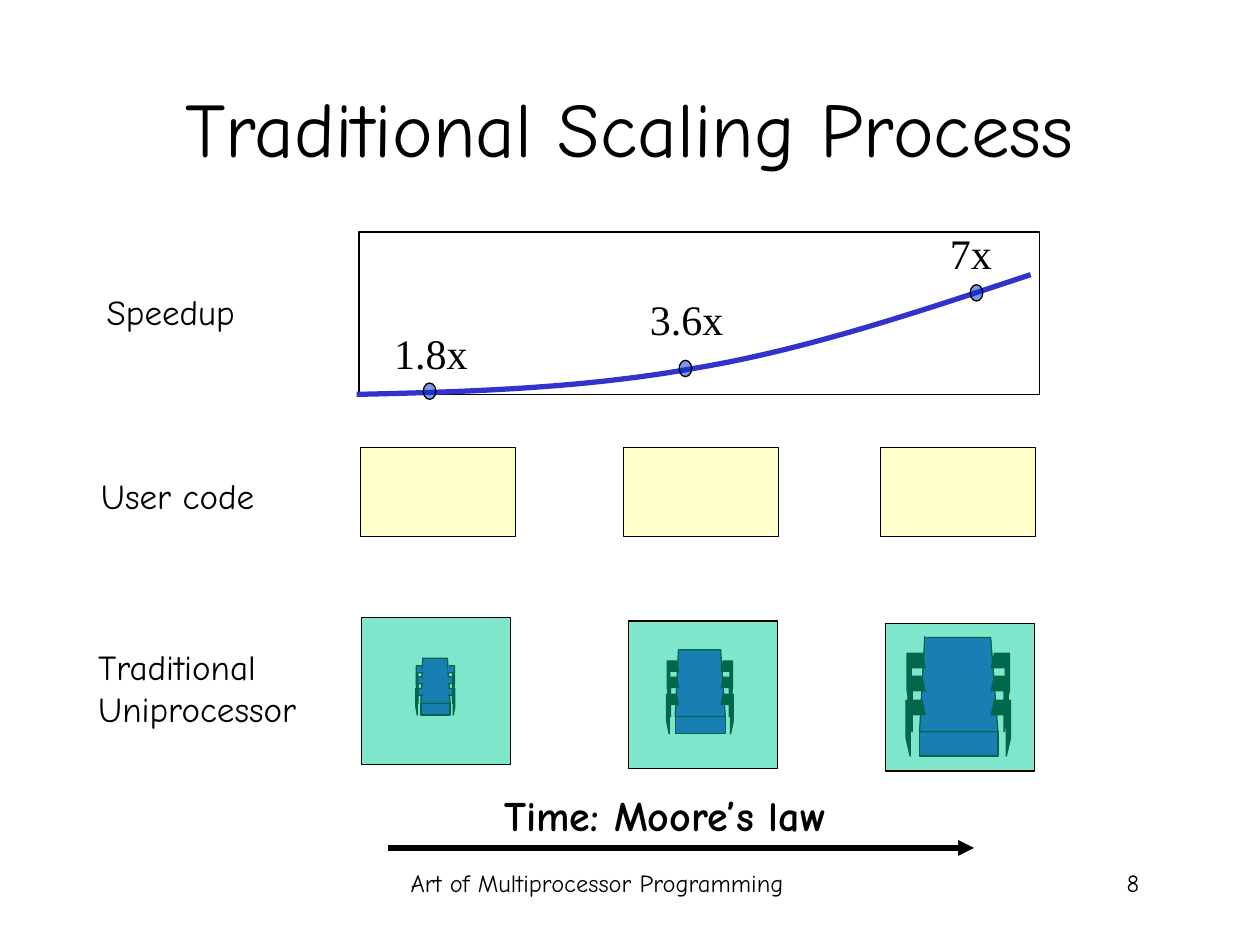
"""Build the slide on how a uniprocessor speeds up over time."""
from lxml.etree import SubElement
from pptx import Presentation
from pptx.dml.color import RGBColor
from pptx.enum.shapes import MSO_CONNECTOR as Link, MSO_SHAPE as Kind
from pptx.enum.text import MSO_ANCHOR as Anchor, PP_ALIGN as Align
from pptx.oxml.ns import qn
from pptx.util import Inches, Pt

SANS, SERIF = "Comic Neue", "Times New Roman"
BLACK, BLUE = "000000", "3333CC"


def color(code):
    return RGBColor.from_string(code)


class Deck:
    def __init__(self):
        self.prs = Presentation()
        self.prs.slide_width, self.prs.slide_height = Inches(10), Inches(7.5)
        self.slide = self.prs.slides.add_slide(self.prs.slide_layouts[5])
        self.shapes = self.slide.shapes

    def run(self, para, text, size, face=SANS, bold=False):
        run = para.add_run()
        run.text = text
        font = run.font
        font.size, font.name, font.bold = Pt(size), face, bold
        font.color.rgb = color(BLACK)

    def title(self, text, box):
        shape = self.shapes.title
        shape.left, shape.top, shape.width, shape.height = map(Inches, box)
        frame = shape.text_frame
        frame.vertical_anchor = Anchor.MIDDLE
        para = frame.paragraphs[0]
        para.alignment = Align.CENTER
        self.run(para, text, 44)

    def label(self, text, box, size, face=SANS, align=Align.CENTER, bold=False):
        frame = self.shapes.add_textbox(*map(Inches, box)).text_frame
        frame.word_wrap = align != Align.CENTER
        for i, line in enumerate(text.split("\n")):
            para = frame.add_paragraph() if i else frame.paragraphs[0]
            para.alignment = align
            self.run(para, line, size, face, bold)

    def paint(self, shape, fill, line=BLACK, width=0.75, alpha=None):
        shape.shadow.inherit = False
        if fill:
            shape.fill.solid()
            shape.fill.fore_color.rgb = color(fill)
        else:
            shape.fill.background()
        if alpha:
            tint = shape.element.spPr.find(qn("a:solidFill"))[0]
            SubElement(tint, qn("a:alpha"), val=str(alpha * 1000))
        shape.line.color.rgb = color(line)
        shape.line.width = Pt(width)

    def block(self, box, fill, kind=Kind.RECTANGLE, alpha=None, group=None):
        shapes = group.shapes if group else self.shapes
        shape = shapes.add_shape(kind, *map(Inches, box))
        self.paint(shape, fill, alpha=alpha)

    def outline(self, pts, group=None):
        shapes = group.shapes if group else self.shapes
        start, *rest = [(Inches(x), Inches(y)) for x, y in pts]
        form = shapes.build_freeform(*start)
        form.add_line_segments(rest, close=False)
        return form.convert_to_shape()

    def curve(self, pts, line, width):
        shape = self.outline(pts)
        self.paint(shape, None, line, width)
        trace = next(shape.element.iter(qn("a:path")))
        steps = trace.findall(qn("a:lnTo"))
        for i in range(0, len(steps), 3):
            bend = SubElement(trace, qn("a:cubicBezTo"))
            for step in steps[i:i + 3]:
                bend.append(step[0])
                trace.remove(step)

    def arrow(self, start, end, width):
        link = self.shapes.add_connector(Link.STRAIGHT, *map(Inches, start + end))
        link.line.color.rgb = color(BLACK)
        link.line.width = Pt(width)
        SubElement(link.line._get_or_add_ln(), qn("a:tailEnd"), type="triangle")
        SubElement(link.element.spPr, qn("a:effectLst"))

    def chip(self, box, legs):
        left, top, wide, high = box
        group = self.shapes.add_group_shape()

        def draw(pts, fill):
            spots = [(left + x * wide, top + y * high) for x, y in pts]
            self.paint(self.outline(spots, group), fill)

        base = (left + 0.13 * wide, top + 0.79 * high, 0.75 * wide, 0.2 * high)
        self.block(base, BLUE, group=group)
        draw([(0.2, 0.01), (0.81, 0.01), (0.88, 0.79), (0.13, 0.79), (0.18, 0)], BLUE)
        for y, out in ((0.53, 1), (0.33, 0.98), (0.14, 0.99)):
            leg = [(0.84, y), (out, y), (out, y + 0.31), (out - 0.04, y + 0.46),
                   (out - 0.04, y + 0.12), (0.81, y + 0.12)]
            draw(leg, legs)
            draw([(1 - x, v) for x, v in leg], legs)


def main():
    deck = Deck()
    deck.label("Art of Multiprocessor Programming", (2.6, 6.84, 4.28, 0.5), 14)
    deck.label("8", (7.06, 6.84, 2.08, 0.5), 14, align=Align.RIGHT)
    deck.title("Traditional Scaling Process", (0.75, 0.38, 8.5, 1.25))

    for left in (2.86, 4.95, 6.99):
        deck.block((left, 3.55, 1.23, 0.71), "FFFFCC")
    deck.label("User code", (0.65, 3.72, 1.52, 0.43), 20)
    deck.label("Traditional\nUniprocessor", (0.68, 5.07, 2.01, 0.77), 20,
               align=Align.LEFT)

    deck.block((2.85, 1.84, 5.4, 1.29), "FFFFFF", alpha=50)
    deck.curve([(2.83, 3.13), (3.74, 3.11), (4.64, 3.08), (5.53, 2.92),
                (6.42, 2.77), (7.3, 2.47), (8.18, 2.18)], BLUE, 3)
    for left, top in ((3.36, 3.04), (5.39, 2.86), (7.7, 2.26)):
        deck.block((left, top, 0.1, 0.13), "0033CC", Kind.OVAL, 50)
    deck.label("Speedup", (0.7, 2.26, 1.31, 0.43), 20)
    for text, left, top, wide in (("1.8x", 3.03, 2.55, 0.78),
                                  ("7x", 7.44, 1.76, 0.53),
                                  ("3.6x", 5.06, 2.28, 0.78)):
        deck.label(text, (left, top, wide, 0.5), 24, SERIF)

    deck.arrow((3.08, 6.73), (7.73, 6.73), 3)
    deck.label("Time: Moore’s law", (3.71, 6.22, 3.14, 0.5), 24, bold=True)

    deck.chip((3.3, 5.22, 0.31, 0.46), BLUE)
    deck.chip((5.29, 5.15, 0.53, 0.68), BLACK)
    deck.chip((7.19, 5.05, 0.83, 0.96), BLACK)
    for left, top in ((2.87, 4.9), (4.99, 4.93), (7.03, 4.95)):
        deck.block((left, top, 1.18, 1.17), "00CC99", alpha=50)
    deck.prs.save("out.pptx")


if __name__ == "__main__":
    main()
